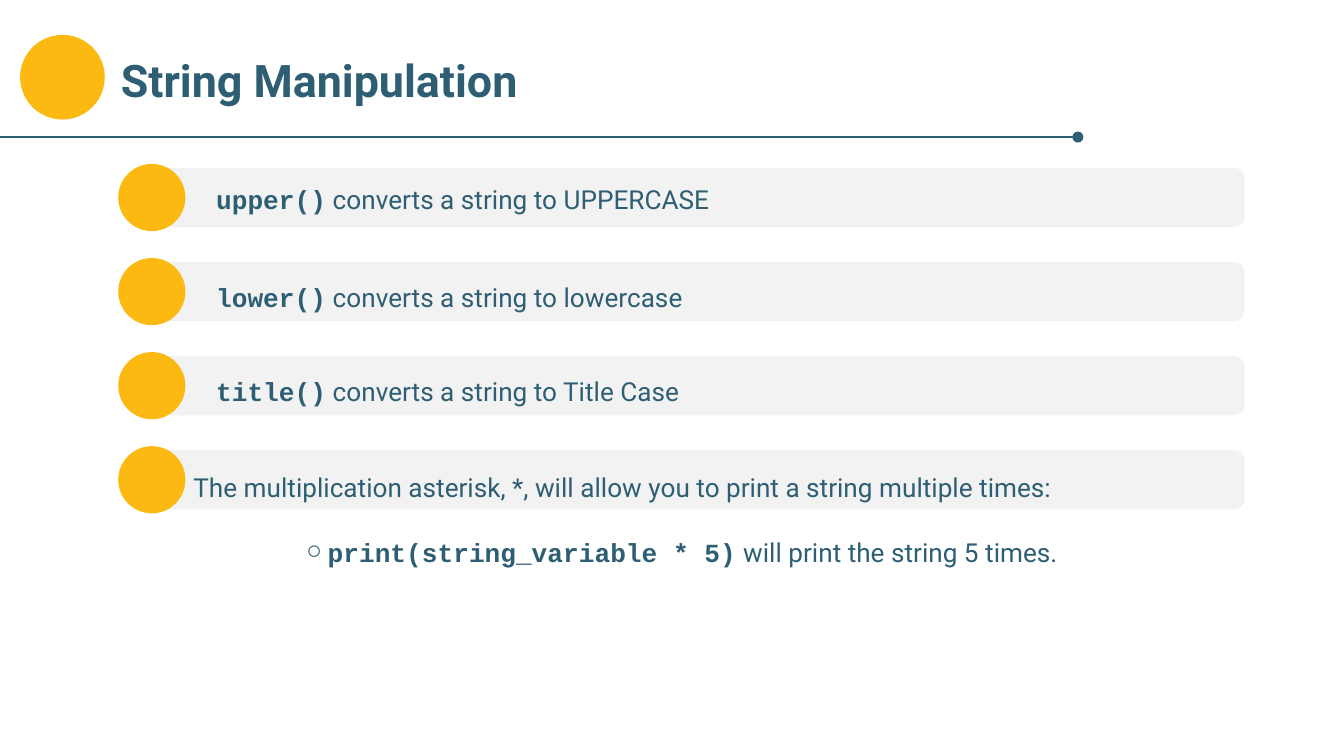
"""Build a slide that lists Python string manipulation methods."""
import pptx
import pptx.dml.color
import pptx.enum.shapes
import pptx.enum.text
import pptx.oxml
import pptx.oxml.ns
import pptx.util

Inches = pptx.util.Inches
Pt = pptx.util.Pt
SHAPES = pptx.enum.shapes.MSO_SHAPE

COLORS = {"teal": "2E5E73", "gold": "FCB912", "gray": "F2F2F2"}
TITLE = {"name": "Roboto", "size": Pt(24), "bold": True}
CODE = {"name": "Courier New", "size": Pt(14), "bold": True}
BODY = {"name": "Roboto", "size": Pt(14), "bold": False}

SLIDE_WIDTH = 10
SLIDE_HEIGHT = SLIDE_WIDTH * 9 / 16
FIRST_ROW, ROW_PITCH = 1.25, 0.7
METHODS = [
    (1.23, "upper()", " converts a string to UPPERCASE"),
    (1.96, "lower()", " converts a string to lowercase"),
    (2.66, "title()", " converts a string to Title Case"),
]


def color(name):
    return pptx.dml.color.RGBColor.from_string(COLORS[name])


def set_values(target, values):
    for name, value in values.items():
        setattr(target, name, value)


def add_xml(parent, tag, **attributes):
    element = pptx.oxml.parse_xml(f"<a:{tag} {pptx.oxml.ns.nsdecls('a')}/>")
    for name, value in attributes.items():
        element.set(name, value)
    parent.append(element)
    return element


def add_filled_shape(slide, kind, box, fill):
    shape = slide.shapes.add_shape(kind, *map(Inches, box))
    shape.shadow.inherit = False
    shape.fill.solid()
    shape.fill.fore_color.rgb = color(fill)
    shape.line.fill.background()
    return shape


def add_circle(slide, left, top, size):
    add_filled_shape(slide, SHAPES.OVAL, (left, top, size, size), "gold")


def add_row(slide, top):
    bar = add_filled_shape(slide, SHAPES.ROUNDED_RECTANGLE, (1.04, top, 8.22, 0.44), "gray")
    bar.adjustments[0] = 0.167
    add_circle(slide, 0.88, top - 0.03, 0.5)


def add_rule(slide):
    rule = slide.shapes.add_connector(
        pptx.enum.shapes.MSO_CONNECTOR.STRAIGHT,
        Inches(-0.01), Inches(1.02), Inches(8.02), Inches(1.02))
    rule.line.color.rgb = color("teal")
    rule.line.width = Pt(1.5)
    add_xml(rule.line._get_or_add_ln(), "tailEnd", type="oval")
    add_xml(rule._element.spPr, "effectLst")


def add_text_frame(slide, box, left_inset=0.1):
    frame = slide.shapes.add_textbox(*map(Inches, box)).text_frame
    margin = Inches(0.1)
    set_values(frame, {
        "word_wrap": True,
        "vertical_anchor": pptx.enum.text.MSO_ANCHOR.TOP,
        "margin_left": Inches(left_inset),
        "margin_top": margin,
        "margin_right": margin,
        "margin_bottom": margin,
    })
    return frame


def fill_paragraph(paragraph, runs, **spacing):
    set_values(paragraph, {"line_spacing": 1.15, **spacing})
    for text, font in runs:
        run = paragraph.add_run()
        run.text = text
        set_values(run.font, font)
        run.font.color.rgb = color("teal")


def add_bullet(paragraph, character):
    properties = paragraph._p.get_or_add_pPr()
    properties.set("marL", str(Inches(1)))
    properties.set("indent", str(Inches(-0.16)))
    bullet_color = add_xml(properties, "buClr")
    add_xml(bullet_color, "srgbClr", val=COLORS["teal"])
    add_xml(properties, "buFont", typeface="Courier New")
    add_xml(properties, "buChar", char=character)


def add_title(slide):
    frame = add_text_frame(slide, (0, 0.23, SLIDE_WIDTH, 0.5), left_inset=0.9)
    fill_paragraph(frame.paragraphs[0], [("String Manipulation", TITLE)], space_after=Pt(16))


def add_method(slide, top, method, description):
    frame = add_text_frame(slide, (1.51, top, 7.78, 0.44))
    runs = [(method, CODE), (description, BODY)]
    fill_paragraph(frame.paragraphs[0], runs, space_after=Pt(5))


def add_multiplication(slide):
    frame = add_text_frame(slide, (1.34, 3.37, 7.78, 0.44))
    statement = "The multiplication asterisk, *, will allow you to print a string multiple times:"
    fill_paragraph(frame.paragraphs[0], [(statement, BODY)])
    example = frame.add_paragraph()
    runs = [("print(string_variable * 5)", CODE), (" will print the string 5 times.", BODY)]
    fill_paragraph(example, runs, level=1, space_before=Pt(16))
    add_bullet(example, "○")


def main():
    presentation = pptx.Presentation()
    set_values(presentation, {
        "slide_width": Inches(SLIDE_WIDTH),
        "slide_height": Inches(SLIDE_HEIGHT),
    })
    slide = presentation.slides.add_slide(presentation.slide_layouts[6])
    add_rule(slide)
    add_circle(slide, 0.15, 0.26, 0.63)
    add_title(slide)
    for index in range(len(METHODS) + 1):
        add_row(slide, FIRST_ROW + index * ROW_PITCH)
    for top, method, description in METHODS:
        add_method(slide, top, method, description)
    add_multiplication(slide)
    presentation.save("out.pptx")


if __name__ == "__main__":
    main()
